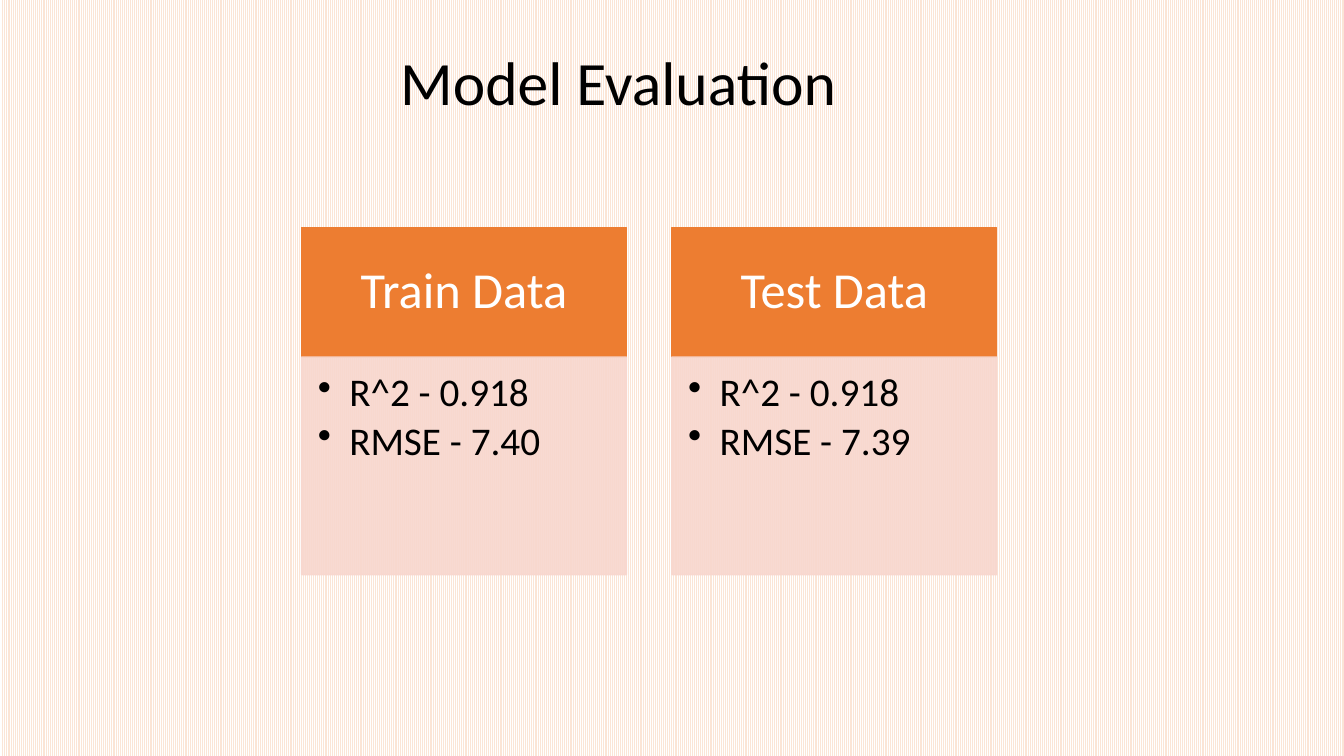
from dataclasses import dataclass

from lxml import etree
from pptx import Presentation
from pptx.dml.color import RGBColor
from pptx.enum.dml import MSO_PATTERN
from pptx.enum.shapes import MSO_SHAPE
from pptx.enum.text import MSO_ANCHOR, MSO_AUTO_SIZE, PP_ALIGN
from pptx.oxml.ns import qn
from pptx.util import Pt

RECTANGLE = MSO_SHAPE.RECTANGLE
STRIPES = MSO_PATTERN.NARROW_VERTICAL
TOP, MIDDLE = MSO_ANCHOR.TOP, MSO_ANCHOR.MIDDLE
LEFT, CENTER = PP_ALIGN.LEFT, PP_ALIGN.CENTER
FIT_SHAPE = MSO_AUTO_SIZE.SHAPE_TO_FIT_TEXT


@dataclass(frozen=True)
class Theme:
    font: str = "Calibri"
    ink: RGBColor = RGBColor(0x00, 0x00, 0x00)
    white: RGBColor = RGBColor(0xFF, 0xFF, 0xFF)
    stripe: RGBColor = RGBColor(0xFB, 0xE5, 0xD6)
    header: RGBColor = RGBColor(0xED, 0x7D, 0x31)
    panel: RGBColor = RGBColor(0xF8, 0xD7, 0xCE)
    panel_opacity: int = 90
    title_size: int = 44
    header_size: int = 36
    metric_size: int = 28


class SlideBuilder:
    def __init__(self, slide, theme):
        self.slide = slide
        self.theme = theme

    def background(self):
        fill = self.slide.background.fill
        fill.patterned()
        fill.pattern = STRIPES
        fill.fore_color.rgb = self.theme.stripe
        fill.back_color.rgb = self.theme.white

    def set_text(self, frame, lines, size, color, align=LEFT):
        frame.text = "\n".join(lines)
        for paragraph in frame.paragraphs:
            paragraph.alignment = align
            for run in paragraph.runs:
                run.font.name = self.theme.font
                run.font.size = Pt(size)
                run.font.color.rgb = color

    def title(self, text, left, top, width, height):
        box = self.slide.shapes.add_textbox(Pt(left), Pt(top), Pt(width), Pt(height))
        frame = box.text_frame
        frame.word_wrap = True
        frame.auto_size = FIT_SHAPE
        self.set_text(frame, [text], self.theme.title_size, self.theme.ink)

    def block(self, left, top, width, height, color, anchor, insets):
        block = self.slide.shapes.add_shape(
            RECTANGLE, Pt(left), Pt(top), Pt(width), Pt(height))
        block.shadow.inherit = False
        block.fill.solid()
        block.fill.fore_color.rgb = color
        block.line.color.rgb = color
        block.line.width = Pt(1)
        frame = block.text_frame
        frame.word_wrap = True
        frame.vertical_anchor = anchor
        (frame.margin_left, frame.margin_top,
         frame.margin_right, frame.margin_bottom) = map(Pt, insets)
        return block

    def header(self, text, left, top, width, height):
        header = self.block(left, top, width, height, self.theme.header,
                            MIDDLE, (20, 11.5, 20, 11.5))
        self.set_text(header.text_frame, [text], self.theme.header_size,
                      self.theme.white, CENTER)
        header.text_frame.paragraphs[0].line_spacing = 0.9

    def metrics(self, lines, left, top, width, height):
        panel = self.block(left, top, width, height, self.theme.panel,
                           TOP, (11.5, 11.5, 16, 17))
        # Translucent fill and outline
        for color in panel._element.spPr.iter(qn("a:srgbClr")):
            alpha = etree.SubElement(color, qn("a:alpha"))
            alpha.set("val", str(self.theme.panel_opacity * 1000))
        self.set_text(panel.text_frame, lines, self.theme.metric_size, self.theme.ink)
        # Bulleted list with a hanging indent
        for paragraph in panel.text_frame.paragraphs:
            paragraph.level = 1
            paragraph.line_spacing = 0.9
            paragraph.space_after = Pt(4.2)
            properties = paragraph._p.get_or_add_pPr()
            properties.set("marL", str(Pt(22.5)))
            properties.set("indent", str(-Pt(22.5)))
            etree.SubElement(properties, qn("a:buChar")).set("char", "•")


def main():
    presentation = Presentation()
    presentation.slide_width, presentation.slide_height = Pt(960), Pt(540)
    slide = presentation.slides.add_slide(presentation.slide_layouts[6])
    builder = SlideBuilder(slide, Theme())

    builder.background()
    builder.title("Model Evaluation", 278.8, 27.5, 350.5, 60.5)

    # One column per data set: header above its metrics
    results = {
        "Train Data": ["R^2 - 0.918", "RMSE - 7.40"],
        "Test Data": ["R^2 - 0.918", "RMSE - 7.39"],
    }
    first_left, column_width, column_step = 215.5, 232, 264.5
    header_top, header_height, metrics_height = 162.5, 92.5, 155.5
    for column, (data_set, scores) in enumerate(results.items()):
        left = first_left + column * column_step
        builder.header(data_set, left, header_top, column_width, header_height)
        builder.metrics(scores, left, header_top + header_height,
                        column_width, metrics_height)

    presentation.save("out.pptx")


if __name__ == "__main__":
    main()
